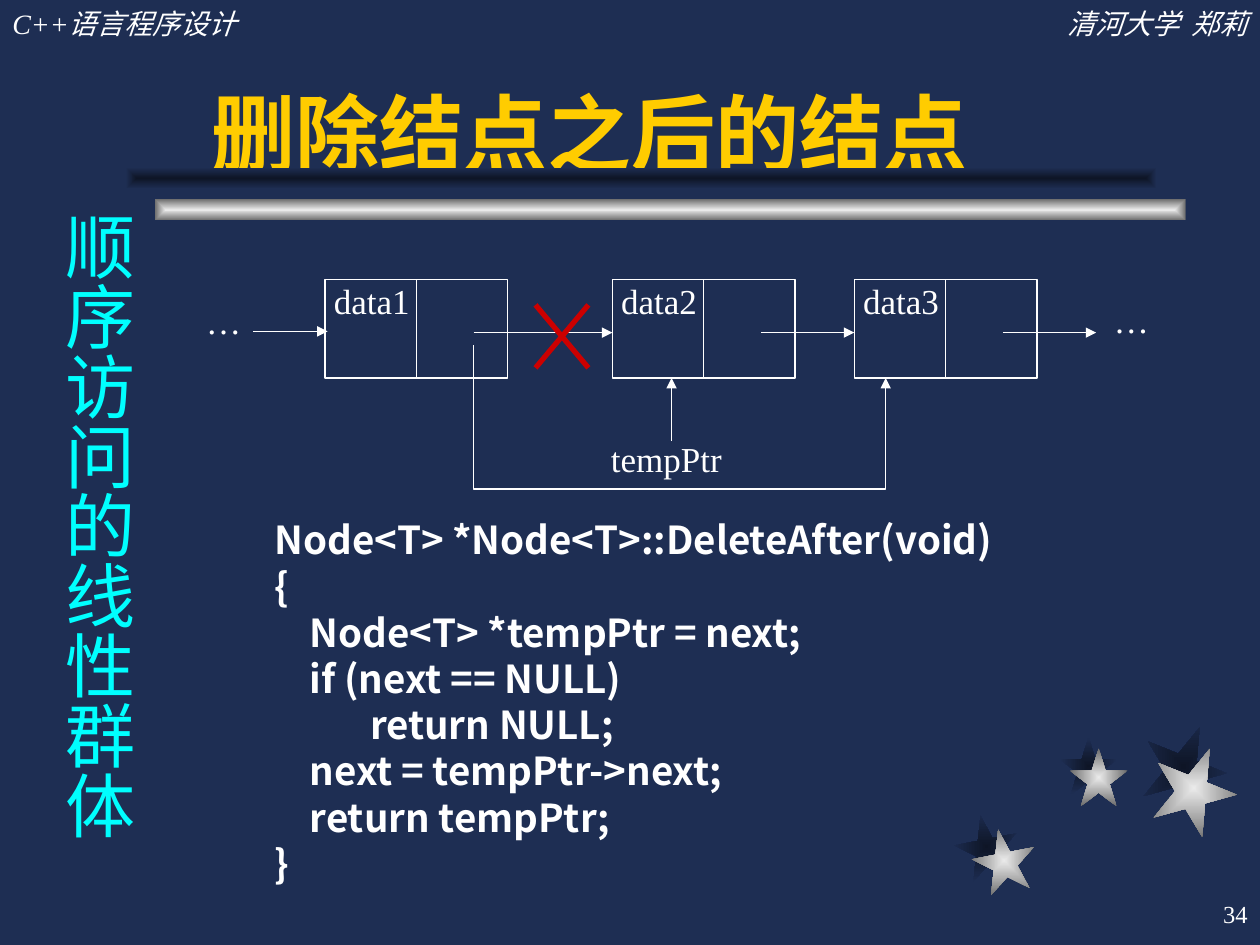
from lxml.etree import SubElement
from pptx import Presentation
from pptx.dml.color import RGBColor
from pptx.enum.shapes import MSO_CONNECTOR, MSO_SHAPE
from pptx.enum.text import MSO_ANCHOR, MSO_AUTO_SIZE, PP_ALIGN
from pptx.oxml.ns import qn
from pptx.util import Inches, Pt

COLS, ROWS = 100, 75  # grid over a 10 x 7.5 inch slide
NAVY, SHADE, LIGHT, GREY = "1E2E53", "0E1526", "EAEAEA", "6C6C6C"
WHITE, GOLD, CYAN, RED = "FFFFFF", "FFCC00", "00FFFF", "CC0000"
SERIF, SANS, HEAD = "Times New Roman", "Noto Sans CJK SC", "Arial"


def rgb(value):
    return RGBColor.from_string(value)


class Deck:
    def __init__(self):
        self.prs = Presentation()
        self.prs.slide_width, self.prs.slide_height = Inches(10), Inches(7.5)
        self.s = self.prs.slides.add_slide(self.prs.slide_layouts[5])
        fill = self.s.background.fill
        fill.solid()
        fill.fore_color.rgb = rgb(NAVY)

    def x(self, col):
        return round(self.prs.slide_width * col / COLS)

    def y(self, row):
        return round(self.prs.slide_height * row / ROWS)

    def box(self, col, row, width, height):
        return self.x(col), self.y(row), self.x(width), self.y(height)

    def set_text(self, tf, lines, size, color=WHITE, font=SERIF, bold=False,
                 italic=False, align=PP_ALIGN.LEFT, anchor=MSO_ANCHOR.TOP,
                 inset=(0.1, 0.05, 0.1, 0.05), wrap=True):
        """Fill a frame with (text, left indent in inches) lines."""
        tf.word_wrap, tf.vertical_anchor = wrap, anchor
        tf.auto_size = MSO_AUTO_SIZE.NONE
        (tf.margin_left, tf.margin_top,
         tf.margin_right, tf.margin_bottom) = map(Inches, inset)
        for i, (text, indent) in enumerate(lines):
            p = tf.add_paragraph() if i else tf.paragraphs[0]
            p.text, p.alignment = text, align
            if indent:
                p._p.get_or_add_pPr().set("marL", str(Inches(indent)))
            f = p.font
            f.name, f.size, f.bold, f.italic = font, Pt(size), bold, italic
            f.color.rgb = rgb(color)

    def title(self, text, place, **style):
        sp = self.s.shapes.title
        sp.left, sp.top, sp.width, sp.height = self.box(*place)
        self.set_text(sp.text_frame, [(text, 0)], **style)

    def text(self, lines, place, size=20, vertical=False, **style):
        if isinstance(lines, str):
            lines = [(lines, 0)]
        tf = self.s.shapes.add_textbox(*self.box(*place)).text_frame
        self.set_text(tf, lines, size, **style)
        if vertical:
            tf._txBody.bodyPr.set("vert", "eaVert")

    def glow(self, kind, place, center, edge, rotation=0):
        """Preset shape with a gradient running from its centre outwards."""
        sp = self.s.shapes.add_shape(kind, *self.box(*place))
        sp.shadow.inherit, sp.rotation = False, rotation
        sp.line.fill.background()
        sp.fill.gradient()
        for stop, color in zip(sp.fill.gradient_stops, (center, edge)):
            stop.color.rgb = rgb(color)
        grad = sp._element.spPr.find(qn("a:gradFill"))
        grad.remove(grad.find(qn("a:lin")))
        shade = SubElement(grad, qn("a:path"), {"path": "rect"})
        SubElement(shade, qn("a:fillToRect"), dict.fromkeys("ltrb", "50000"))

    def stroke(self, sp, color, width, arrow):
        sp.line.color.rgb, sp.line.width = rgb(color), Pt(width)
        if arrow:
            SubElement(sp._element.spPr.find(qn("a:ln")), qn("a:tailEnd"),
                       {"type": "triangle"})

    def line(self, start, end, color=WHITE, width=0.75, arrow=False):
        c = self.s.shapes.add_connector(
            MSO_CONNECTOR.STRAIGHT, self.x(start[0]), self.y(start[1]),
            self.x(end[0]), self.y(end[1]))
        self.stroke(c, color, width, arrow)
        SubElement(c._element.spPr, qn("a:effectLst"))

    def polyline(self, points):
        first, *rest = [(self.x(c), self.y(r)) for c, r in points]
        builder = self.s.shapes.build_freeform(*first)
        builder.add_line_segments(rest, close=False)
        sp = builder.convert_to_shape()
        sp.shadow.inherit = False
        sp.fill.background()
        self.stroke(sp, WHITE, 0.75, arrow=True)

    def node(self, label, col, row, width, height):
        """List node: a data cell and a pointer cell."""
        sp = self.s.shapes.add_shape(MSO_SHAPE.RECTANGLE,
                                     *self.box(col, row, width, height))
        sp.shadow.inherit = False
        sp.fill.background()
        self.stroke(sp, WHITE, 0.75, arrow=False)
        self.set_text(sp.text_frame, [(label, 0)], 20, align=PP_ALIGN.JUSTIFY,
                      inset=(0.07, 0, 0, 0))
        middle = col + width / 2
        self.line((middle, row), (middle, row + height))


def main():
    d = Deck()

    # Stars and title rule, each with its shadow
    stars = [((75.8, 64.7), (77.2, 65.8), 5, 349),
             ((84.1, 58.5), (84.9, 59.4), 4.6, 0),
             ((90.6, 57.5), (91.4, 59.2), 6.7, 22)]
    for layer, colors in enumerate([(SHADE, NAVY), (LIGHT, GREY)]):
        for *corners, size, rotation in stars:
            d.glow(MSO_SHAPE.STAR_5_POINT, (*corners[layer], size, size),
                   *colors, rotation)
    for col, row, colors in [(12.3, 15.8, (LIGHT, GREY)),
                             (10, 13.3, (SHADE, NAVY))]:
        d.glow(MSO_SHAPE.RECTANGLE, (col, row, 81.8, 1.7), *colors)

    # Header, page number, title and side heading
    d.text("C++语言程序设计", (0, 0, 30.8, 3.7), 16, italic=True)
    d.text("清河大学  郑莉", (69.2, 0, 30.8, 3.7), 16, italic=True,
           align=PP_ALIGN.RIGHT)
    d.text("34", (79.2, 70, 20.8, 5), 14, align=PP_ALIGN.RIGHT,
           anchor=MSO_ANCHOR.MIDDLE, wrap=False)
    d.title("删除结点之后的结点", (14.2, 2.5, 78.3, 12.5), size=48,
            color=GOLD, font=HEAD, bold=True, anchor=MSO_ANCHOR.BOTTOM,
            inset=(0.26, 0.05, 0.1, 0.05))
    d.text("顺序访问的线性群体", (3, 15.8, 8.6, 52.4), 40, vertical=True,
           color=CYAN, font=SANS, inset=(0.05, 0.1, 0.05, 0.1))

    # Linked list: each pointer leads to the next node
    top, width, height, link = 22.2, 14.5, 7.8, 26.4
    bottom = top + height
    nodes = [25.8, 48.6, 67.8]
    for i, (col, target) in enumerate(zip(nodes, nodes[1:] + [87]), 1):
        d.node(f"data{i}", col, top, width, height)
        d.line((col + 11.8, link), (target, link), arrow=True)
    d.line((20.1, 26.3), (26, 26.3), arrow=True)
    d.text("…", (15, 23.8, 5.5, 6.2), align=PP_ALIGN.CENTER,
           inset=(0, 0, 0, 0))
    d.text("…", (85.8, 23.2, 8, 8.5), align=PP_ALIGN.CENTER)

    # Bypass link, cut mark and temporary pointer
    d.polyline([(37.6, 27.4), (37.6, 38.8), (70.3, 38.8), (70.3, bottom)])
    for start, end in [(46.7, 42.5), (42.5, 46.7)]:
        d.line((start, 24.2), (end, 29.2), RED, 3)
    d.text("tempPtr", (47.5, 34.2, 10.8, 4.4))
    d.line((53.3, 35), (53.3, bottom), arrow=True)

    # Code listing
    step, deep = 0.28, 0.76
    code = [("Node<T> *Node<T>::DeleteAfter(void)", 0), ("{", 0),
            ("Node<T> *tempPtr = next;", step), ("if (next == NULL)", step),
            ("return NULL;", deep), ("next = tempPtr->next;", step),
            ("return tempPtr;", step), ("}", 0)]
    d.text(code, (20.8, 40.5, 75.8, 30.4), 22, font=SANS, bold=True)

    d.prs.save("out.pptx")


if __name__ == "__main__":
    main()
